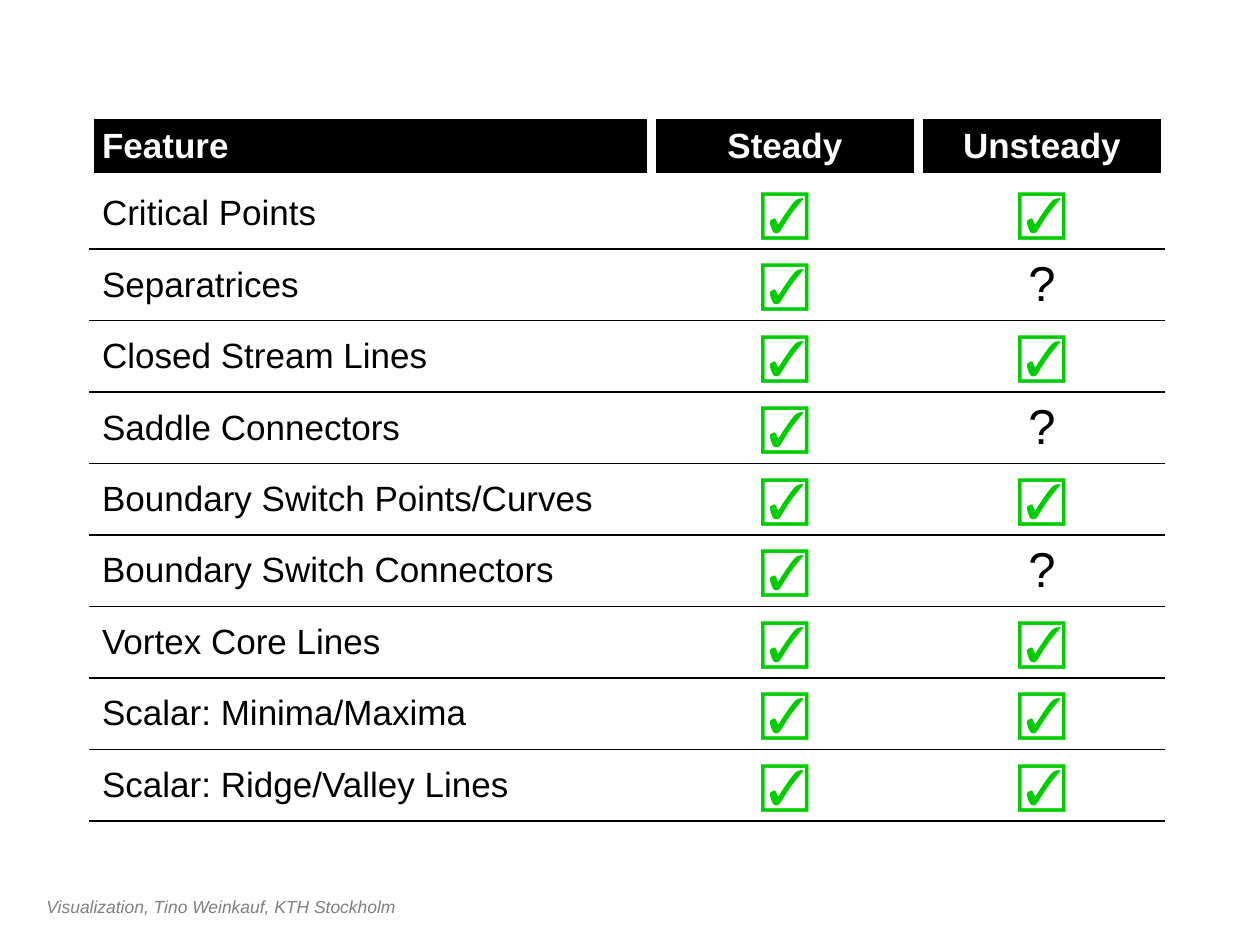
from dataclasses import dataclass

from lxml.etree import SubElement
from pptx import Presentation
from pptx.dml.color import RGBColor as Color
from pptx.enum.text import MSO_ANCHOR as Anchor, MSO_AUTO_SIZE as AutoSize, PP_ALIGN as Align
from pptx.oxml.ns import qn
from pptx.util import Inches, Pt


@dataclass(frozen=True)
class Theme:
    font: str = "Arial"
    black: str = "000000"
    white: str = "FFFFFF"
    green: str = "00CC00"
    grey: str = "7F7F7F"
    label_size: int = 20
    mark_size: int = 28
    footer_size: int = 10
    rule_width: int = 1
    header_gap: int = 6
    plain_table: str = "{2D5ABB26-0587-4C30-8999-92F81FD0307C}"


CHECK, OPEN = "☑", "?"
HEADINGS = ("Feature", "Steady", "Unsteady")
FEATURES = (
    ("Critical Points", CHECK, CHECK),
    ("Separatrices", CHECK, OPEN),
    ("Closed Stream Lines", CHECK, CHECK),
    ("Saddle Connectors", CHECK, OPEN),
    ("Boundary Switch Points/Curves", CHECK, CHECK),
    ("Boundary Switch Connectors", CHECK, OPEN),
    ("Vortex Core Lines", CHECK, CHECK),
    ("Scalar: Minima/Maxima", CHECK, CHECK),
    ("Scalar: Ridge/Valley Lines", CHECK, CHECK),
)
COLUMN_WIDTHS = (4.46, 2.12, 1.96)
HEADER_HEIGHT = 0.5


class SlideBuilder:
    def __init__(self, slide, theme):
        self.slide = slide
        self.theme = theme

    def span(self, para, text, size, color, bold=False, italic=False):
        span = para.add_run()
        span.text = text
        span.font.name = self.theme.font
        span.font.size = Pt(size)
        span.font.bold = bold
        span.font.italic = italic
        span.font.color.rgb = Color.from_string(color)

    def footer(self, text, left, top, width, height):
        box = self.slide.shapes.add_textbox(*map(Inches, (left, top, width, height)))
        box.text_frame.word_wrap = True
        box.text_frame.auto_size = AutoSize.SHAPE_TO_FIT_TEXT
        para = box.text_frame.paragraphs[0]
        self.span(para, text, self.theme.footer_size, self.theme.grey, italic=True)

    def borders(self, cell, sides):
        """Draw each side given as name: (colour, points); hide the others."""
        properties = cell._tc.get_or_add_tcPr()
        for side in "LRTB":
            if side not in sides:
                line = SubElement(properties, qn(f"a:ln{side}"), w="0")
                SubElement(line, qn("a:noFill"))
                continue
            color, width = sides[side]
            line = SubElement(properties, qn(f"a:ln{side}"), w=str(Pt(width)))
            fill = SubElement(line, qn("a:solidFill"))
            SubElement(fill, qn("a:srgbClr"), val=color)

    def header_cell(self, cell, text):
        theme = self.theme
        self.borders(cell, dict.fromkeys("LRTB", (theme.white, theme.header_gap)))
        cell.fill.solid()
        cell.fill.fore_color.rgb = Color.from_string(theme.black)
        self.span(cell.text_frame.paragraphs[0], text, theme.label_size, theme.white, bold=True)

    def body_cell(self, cell, text, below_header):
        theme = self.theme
        rule = (theme.black, theme.rule_width)
        top = (theme.white, theme.header_gap) if below_header else rule
        self.borders(cell, {"T": top, "B": rule})
        cell.fill.background()
        size = theme.mark_size if text in (CHECK, OPEN) else theme.label_size
        color = theme.green if text == CHECK else theme.black
        self.span(cell.text_frame.paragraphs[0], text, size, color)

    def table(self, headings, rows, left, top, height):
        frame = self.slide.shapes.add_table(
            len(rows) + 1, len(headings), Inches(left), Inches(top),
            Inches(sum(COLUMN_WIDTHS)), Inches(height))
        table = frame.table
        table.first_row = table.horz_banding = False
        table._tbl.tblPr.find(qn("a:tableStyleId")).text = self.theme.plain_table
        for column, width in zip(table.columns, COLUMN_WIDTHS):
            column.width = Inches(width)
        body_height = (height - HEADER_HEIGHT) / len(rows)
        for r, texts in enumerate((headings, *rows)):
            table.rows[r].height = Inches(body_height if r else HEADER_HEIGHT)
            for c, text in enumerate(texts):
                cell = table.cell(r, c)
                cell.vertical_anchor = Anchor.MIDDLE
                cell.text_frame.paragraphs[0].alignment = Align.CENTER if c else Align.LEFT
                if r:
                    self.body_cell(cell, text, below_header=r == 1)
                else:
                    self.header_cell(cell, text)


def main():
    deck = Presentation()
    deck.slide_width, deck.slide_height = Inches(10), Inches(7.5)
    page = SlideBuilder(deck.slides.add_slide(deck.slide_layouts[6]), Theme())
    page.footer("Visualization, Tino Weinkauf, KTH Stockholm", 0.27, 7.06, 7.39, 0.27)
    page.table(HEADINGS, FEATURES, 0.71, 0.91, 5.6)
    deck.save("out.pptx")


if __name__ == "__main__":
    main()
